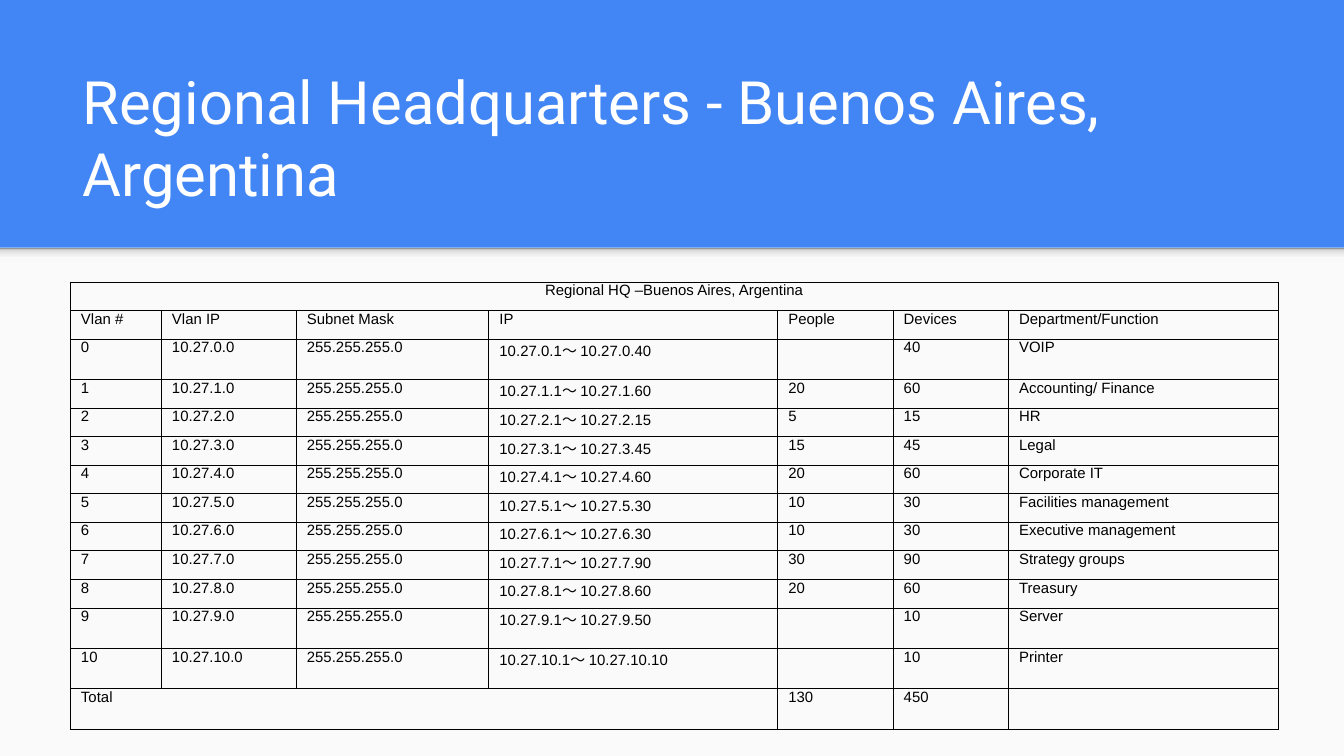
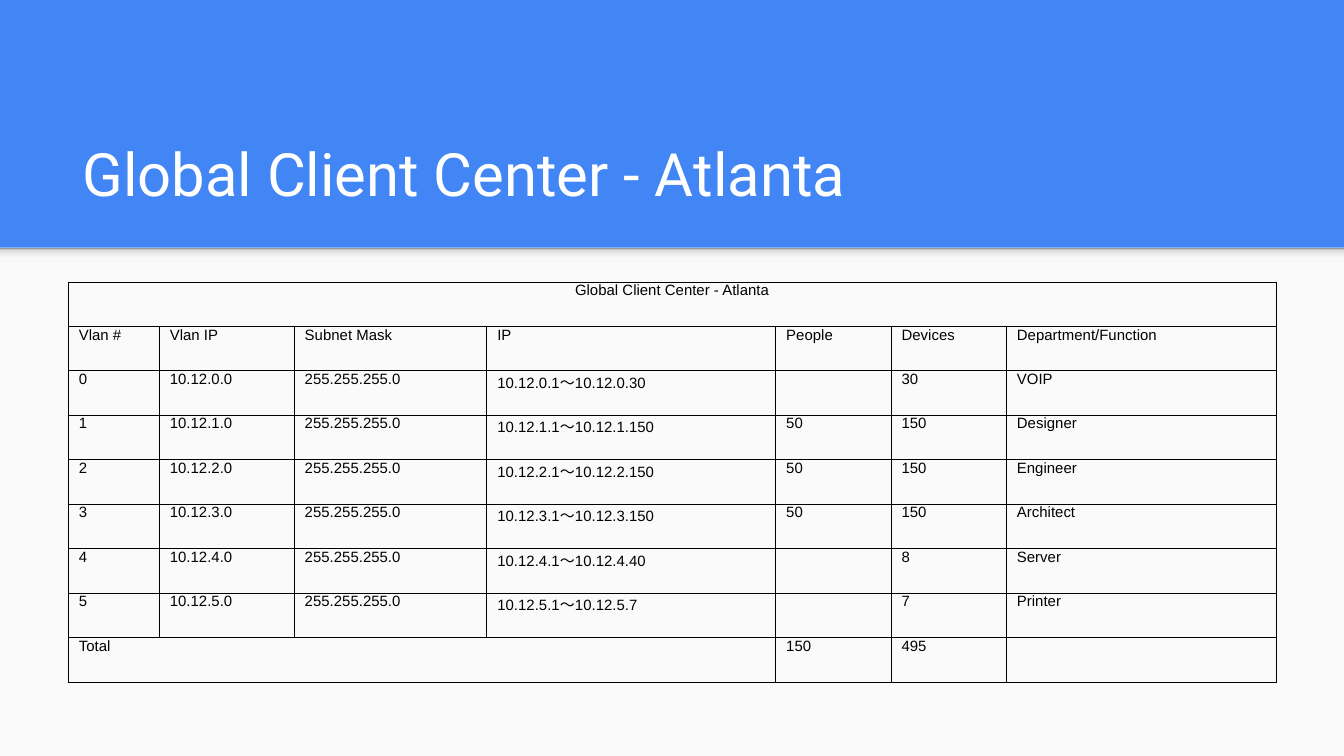
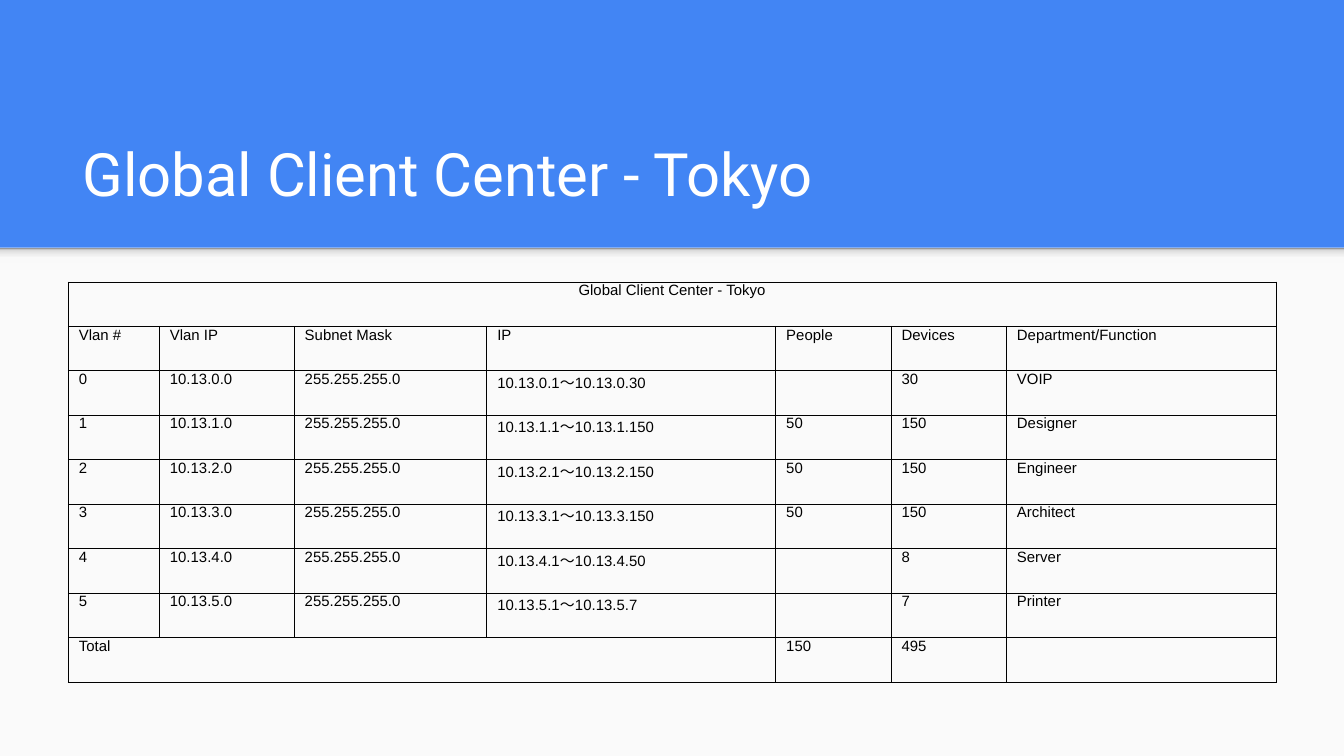
from lxml import etree
from pptx import Presentation
from pptx import util as u
from pptx.dml.color import RGBColor
from pptx.enum import shapes, text
from pptx.oxml.ns import qn

Cm, Pt = u.Cm, u.Pt

BLUE = RGBColor(0x42, 0x85, 0xF4)
PAPER = RGBColor(0xFA, 0xFA, 0xFA)
WHITE = RGBColor(0xFF, 0xFF, 0xFF)
BLACK = RGBColor(0, 0, 0)
SHADE = [
    (0, RGBColor(0xF9, 0xF9, 0xF9)),
    (36, RGBColor(0xF9, 0xF9, 0xF9)),
    (80, RGBColor(0xDE, 0xDE, 0xDE)),
    (100, RGBColor(0x99, 0x99, 0x99)),
]

WIDTH, HEIGHT = Cm(25.4), Cm(14.29)
BAND = Cm(4.68)
HEADS = ["Vlan #", "Vlan IP", "Subnet Mask", "IP", "People", "Devices", "Department/Function"]
COLS = [1.72, 2.55, 3.64, 5.46, 2.18, 2.18, 5.1]
MASK = "255.255.255.0"


def center(last):
    """Vlans of a client center, whose server range ends at last."""
    return [
        ("VOIP", None, 30, 30),
        ("Designer", 50, 150, 150),
        ("Engineer", 50, 150, 150),
        ("Architect", 50, 150, 150),
        ("Server", None, 8, last),
        ("Printer", None, 7, 7),
    ]


# Each vlan: department, people, devices, last host
SITES = [
    {
        "title": "Regional Headquarters - Buenos Aires, Argentina",
        "head": "Regional HQ –Buenos Aires, Argentina",
        "net": "10.27", "dash": "～ ", "left": 1.33, "row": 0.54,
        "vlans": [
            ("VOIP", None, 40, 40),
            ("Accounting/ Finance", 20, 60, 60),
            ("HR", 5, 15, 15),
            ("Legal", 15, 45, 45),
            ("Corporate IT", 20, 60, 60),
            ("Facilities management", 10, 30, 30),
            ("Executive management", 10, 30, 30),
            ("Strategy groups", 30, 90, 90),
            ("Treasury", 20, 60, 60),
            ("Server", None, 10, 50),
            ("Printer", None, 10, 10),
        ],
    },
    {
        "title": "Global Client Center - Atlanta",
        "head": "Global Client Center - Atlanta",
        "net": "10.12", "dash": "～", "left": 1.29, "row": 0.84,
        "vlans": center(40),
    },
    {
        "title": "Global Client Center - Tokyo",
        "head": "Global Client Center - Tokyo",
        "net": "10.13", "dash": "～", "left": 1.29, "row": 0.84,
        "vlans": center(50),
    },
]


def style(frame, font, size, color):
    for para in frame.paragraphs:
        for run in para.runs:
            run.font.name = font
            run.font.size = Pt(size)
            run.font.color.rgb = color


def add_rect(slide, top, height):
    rect = slide.shapes.add_shape(shapes.MSO_SHAPE.RECTANGLE, 0, top, WIDTH, height)
    rect.shadow.inherit = False
    rect.line.fill.background()
    return rect


def add_frame(slide, title):
    """Draw the page below the band, the band's soft edge and the title."""
    page = add_rect(slide, BAND, HEIGHT - BAND)
    page.fill.solid()
    page.fill.fore_color.rgb = PAPER

    edge = add_rect(slide, BAND, Cm(0.3))
    edge.fill.gradient()
    edge.fill.gradient_angle = 90
    stops = edge.element.spPr.find(".//" + qn("a:gsLst"))
    stops.clear()
    for pos, color in SHADE:
        stop = etree.SubElement(stops, qn("a:gs"), pos=str(pos * 1000))
        etree.SubElement(stop, qn("a:srgbClr"), val=str(color))

    box = slide.shapes.add_textbox(Cm(1.31), Cm(2.06), Cm(22.83), Cm(2.13))
    frame = box.text_frame
    frame.word_wrap = True
    frame.vertical_anchor = text.MSO_ANCHOR.BOTTOM
    frame.margin_left = frame.margin_right = Cm(0.25)
    frame.margin_top = frame.margin_bottom = Cm(0.25)
    frame.text = title
    style(frame, "Roboto", 32, WHITE)


def rows_of(site):
    net, vlans = site["net"], site["vlans"]
    rows = [[site["head"]] + [""] * 6, HEADS]
    for num, (dept, people, count, last) in enumerate(vlans):
        sub = f"{net}.{num}"
        span = f"{sub}.1{site['dash']}{sub}.{last}"
        rows.append([num, f"{sub}.0", MASK, span, people or "", count, dept])
    staff = sum(vlan[1] or 0 for vlan in vlans)
    total = sum(vlan[2] for vlan in vlans)
    rows.append(["Total", "", "", "", staff, total, ""])
    return rows


def set_cell(cell, value):
    cell.margin_left = cell.margin_right = Cm(0.2)
    cell.margin_top = cell.margin_bottom = 0
    if value != "":
        cell.text_frame.text = str(value)
        style(cell.text_frame, "Arial", 8, BLACK)
    props = cell._tc.get_or_add_tcPr()
    for side in ("a:lnL", "a:lnR", "a:lnT", "a:lnB"):
        line = etree.SubElement(props, qn(side), w=str(Pt(0.5)))
        fill = etree.SubElement(line, qn("a:solidFill"))
        etree.SubElement(fill, qn("a:srgbClr"), val=str(BLACK))
    cell.fill.background()


def add_grid(slide, site):
    rows = rows_of(site)
    high = Cm(site["row"])
    grid = slide.shapes.add_table(
        len(rows), len(COLS), Cm(site["left"]), Cm(5.33), Cm(sum(COLS)), high * len(rows)
    ).table
    grid.first_row = grid.horz_banding = False
    for col, wide in zip(grid.columns, COLS):
        col.width = Cm(wide)
    for r, row in enumerate(rows):
        grid.rows[r].height = high
        for c, value in enumerate(row):
            set_cell(grid.cell(r, c), value)
    grid.cell(0, 0).merge(grid.cell(0, 6))
    grid.cell(0, 0).text_frame.paragraphs[0].alignment = text.PP_ALIGN.CENTER
    end = len(rows) - 1
    grid.cell(end, 0).merge(grid.cell(end, 3))


def main():
    prs = Presentation()
    prs.slide_width, prs.slide_height = WIDTH, HEIGHT
    back = prs.slide_master.background.fill
    back.solid()
    back.fore_color.rgb = BLUE
    for site in SITES:
        slide = prs.slides.add_slide(prs.slide_layouts[6])
        add_frame(slide, site["title"])
        add_grid(slide, site)
    prs.save("out.pptx")


if __name__ == "__main__":
    main()
